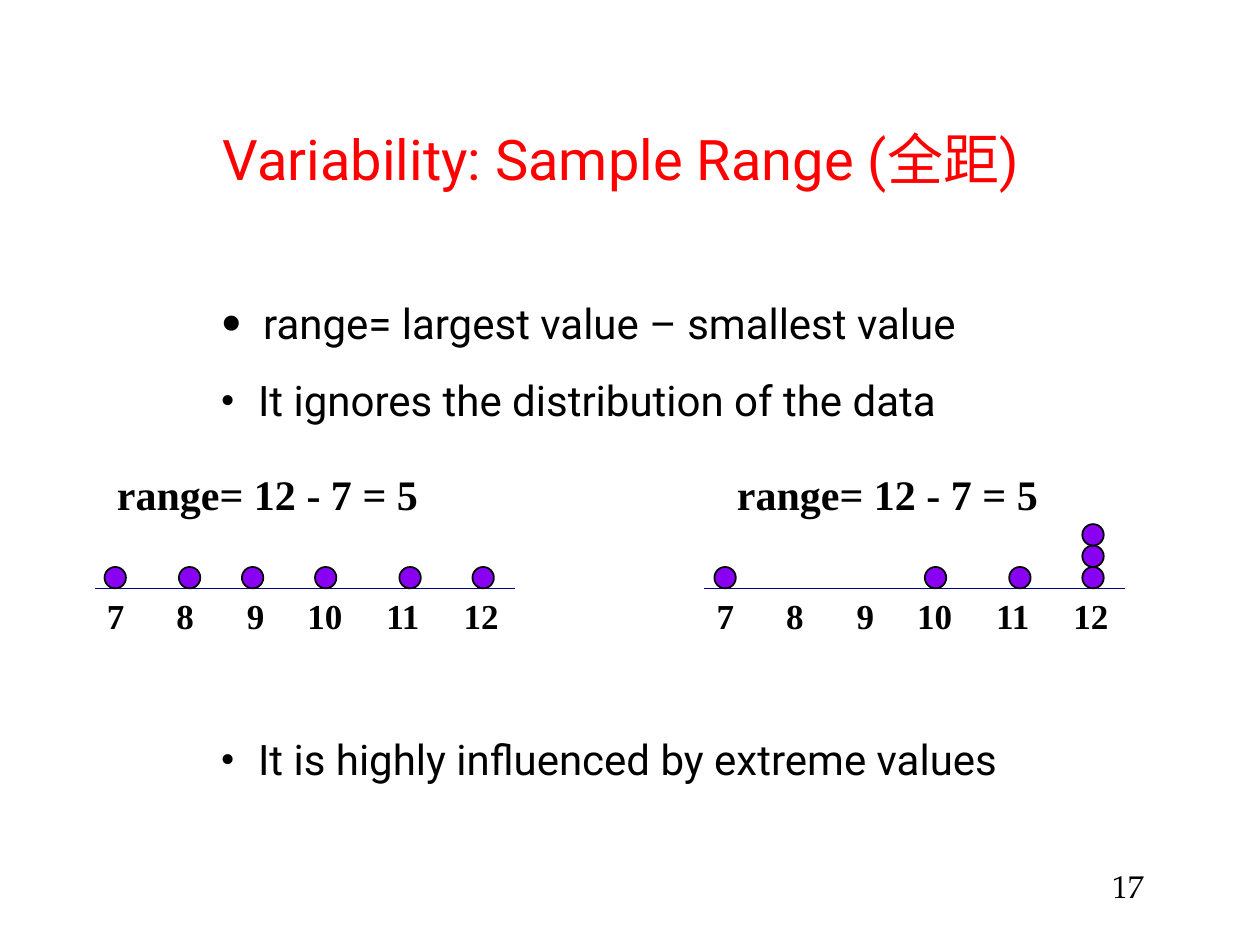
from lxml import etree
from pptx import Presentation
from pptx.dml.color import RGBColor
from pptx.enum.shapes import MSO_CONNECTOR, MSO_SHAPE
from pptx.enum.text import PP_ALIGN
from pptx.oxml.ns import qn
from pptx.util import Inches, Pt

BLACK = RGBColor(0, 0, 0)
RED = RGBColor(0xFF, 0, 0)
NAVY = RGBColor(0, 0, 0x80)
PURPLE = RGBColor(0x89, 0x01, 0xF3)
OVAL = MSO_SHAPE.OVAL
STRAIGHT = MSO_CONNECTOR.STRAIGHT
CENTER = PP_ALIGN.CENTER

SANS = "Roboto"
SERIF = "Times New Roman"
PAGE_FONT = "TeX Gyre Pagella"

DOT = 0.17
AXIS_WIDTH = 3.34
AXIS_DROP = 1.0
# Left edge of each value's dots, measured from the start of the axis
DOT_OFFSETS = {7: 0.08, 8: 0.67, 9: 1.17, 10: 1.75, 11: 2.42, 12: 3.0}
# Centres of the labels after the first, measured from the text edge
LABEL_TABS = (0.62, 1.18, 1.73, 2.35, 2.97)

# Text, space before (pt), indent (in), bullet size (%)
BULLETS = (
    ("range= largest value – smallest value", 0, 0.34, 150),
    ("It ignores the distribution of the data", 18, 0.3, 100),
    ("It is highly influenced by extreme values", 179, 0.3, 100),
)


def add_text_frame(slide, left, top, width, height):
    box = slide.shapes.add_textbox(
        Inches(left), Inches(top), Inches(width), Inches(height))
    box.text_frame.word_wrap = True
    return box.text_frame


def style(paragraph, font_name, size, color=BLACK, bold=False):
    font = paragraph.font
    font.name = font_name
    font.size = Pt(size)
    font.color.rgb = color
    font.bold = bold


def add_line_of_text(slide, text, box, font_name, size, color=BLACK, bold=False):
    paragraph = add_text_frame(slide, *box).paragraphs[0]
    paragraph.text = text
    style(paragraph, font_name, size, color, bold)
    return paragraph


def set_bullet(paragraph, indent, percent):
    properties = paragraph._p.get_or_add_pPr()
    properties.set("marL", str(Inches(indent)))
    properties.set("indent", str(-Inches(indent)))
    etree.SubElement(properties, qn("a:buSzPct")).set("val", str(percent * 1000))
    etree.SubElement(properties, qn("a:buFont")).set("typeface", SERIF)
    etree.SubElement(properties, qn("a:buChar")).set("char", "•")


def add_bullets(slide, left, top, width, height):
    frame = add_text_frame(slide, left, top, width, height)
    for index, (text, space, indent, percent) in enumerate(BULLETS):
        paragraph = frame.add_paragraph() if index else frame.paragraphs[0]
        paragraph.text = text
        paragraph.line_spacing = 0.9
        paragraph.space_before = Pt(space)
        set_bullet(paragraph, indent, percent)
        style(paragraph, SANS, 24)


def add_dot(slide, left, top):
    dot = slide.shapes.add_shape(
        OVAL, Inches(left), Inches(top), Inches(DOT), Inches(DOT))
    dot.shadow.inherit = False
    dot.fill.solid()
    dot.fill.fore_color.rgb = PURPLE
    dot.line.color.rgb = BLACK
    dot.line.width = Pt(1)


def add_axis_labels(slide, left, top):
    labels = add_line_of_text(
        slide, "\t".join(str(value) for value in DOT_OFFSETS),
        (left, top, AXIS_WIDTH, 0.43), SERIF, 20, bold=True)
    tabs = etree.Element(qn("a:tabLst"))
    for position in LABEL_TABS:
        etree.SubElement(tabs, qn("a:tab"), pos=str(Inches(position)), algn="ctr")
    labels._p.get_or_add_pPr().insert(0, tabs)


def add_dot_plot(slide, left, top, counts, caption_offset):
    """Draw a caption over an axis, with counts[value] dots stacked on it."""
    axis_y = top + AXIS_DROP
    add_line_of_text(slide, "range= 12 - 7 = 5",
                     (left + caption_offset, top, 3.02, 0.5),
                     SERIF, 24, bold=True)
    axis = slide.shapes.add_connector(
        STRAIGHT, Inches(left), Inches(axis_y),
        Inches(left + AXIS_WIDTH), Inches(axis_y))
    axis.line.color.rgb = NAVY
    axis.line.width = Pt(1)
    etree.SubElement(axis._element.spPr, qn("a:effectLst"))
    add_axis_labels(slide, left, axis_y)
    for value, count in counts.items():
        for level in range(1, count + 1):
            add_dot(slide, left + DOT_OFFSETS[value], axis_y - level * DOT)


def main():
    presentation = Presentation()
    presentation.slide_width = Inches(10)
    presentation.slide_height = Inches(7.5)
    slide = presentation.slides.add_slide(presentation.slide_layouts[6])

    add_line_of_text(slide, "17", (8.73, 6.83, 0.6, 0.46), PAGE_FONT, 18)
    add_bullets(slide, 1.65, 2.36, 8, 4.18)
    title = add_line_of_text(slide, "Variability: Sample Range (全距)",
                             (1.48, 0.94, 6.9, 1.16), SANS, 32, RED)
    title.alignment = CENTER
    add_dot_plot(slide, 0.75, 3.67, dict.fromkeys(DOT_OFFSETS, 1), 0.08)
    add_dot_plot(slide, 5.59, 3.67, {7: 1, 10: 1, 11: 1, 12: 3}, 0.16)

    presentation.save("out.pptx")


if __name__ == "__main__":
    main()
